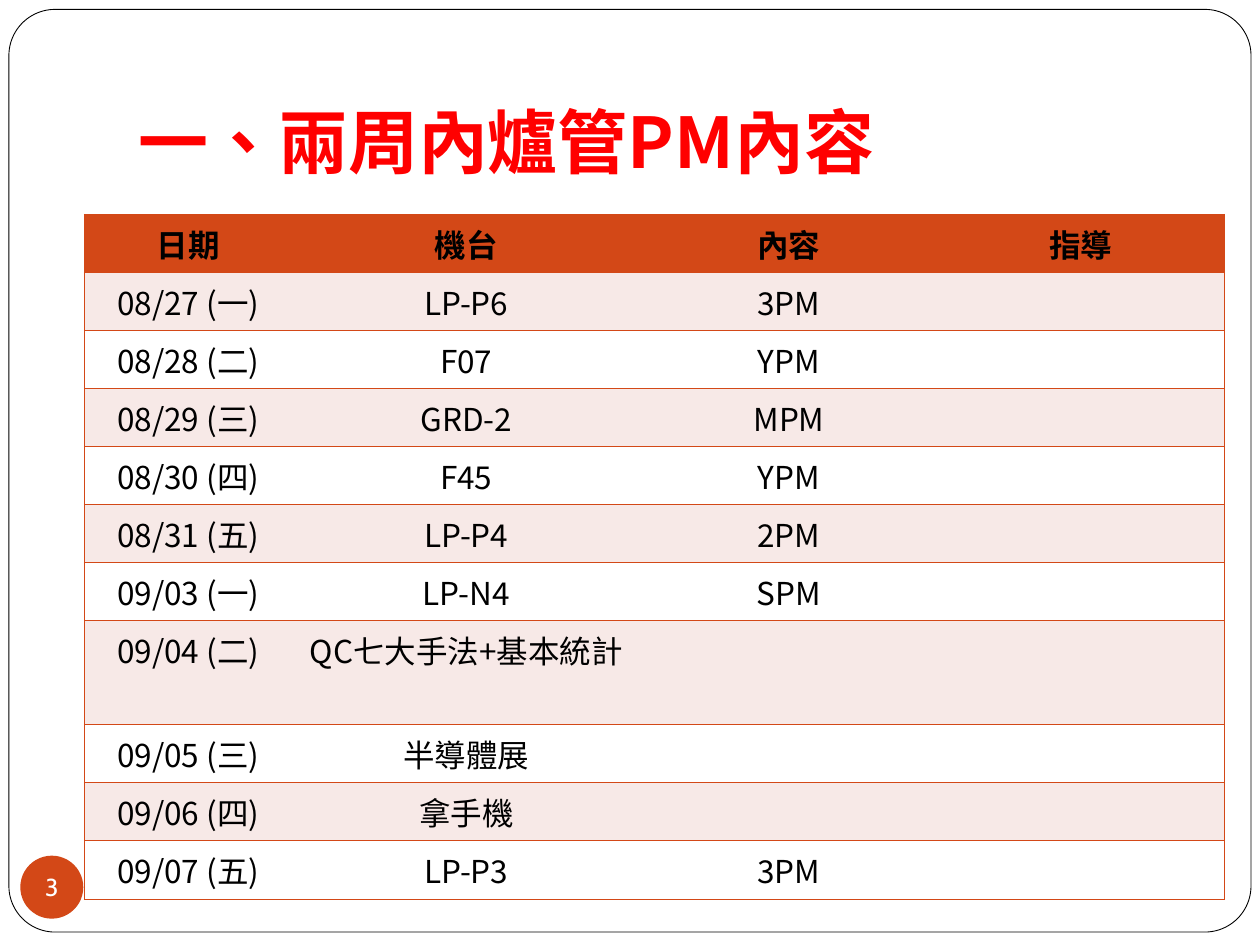
from lxml.etree import SubElement
from pptx import Presentation
from pptx.dml.color import RGBColor
from pptx.enum.lang import MSO_LANGUAGE_ID
from pptx.enum.shapes import MSO_SHAPE
from pptx.enum.text import MSO_ANCHOR, PP_ALIGN
from pptx.oxml.ns import qn
from pptx.util import Cm, Pt

TITLE = "一、兩周內爐管PM內容"
HEADER = ("日期", "機台", "內容", "指導")
SCHEDULE = [
    ("08/27 (一)", "LP-P6", "3PM", ""),
    ("08/28 (二)", "F07", "YPM", ""),
    ("08/29 (三)", "GRD-2", "MPM", ""),
    ("08/30 (四)", "F45", "YPM", ""),
    ("08/31 (五)", "LP-P4", "2PM", ""),
    ("09/03 (一)", "LP-N4", "SPM", ""),
    ("09/04 (二)", "QC七大手法+基本統計", "", ""),
    ("09/05 (三)", "半導體展", "", ""),
    ("09/06 (四)", "拿手機", "", ""),
    ("09/07 (五)", "LP-P3", "3PM", ""),
]
PAGE_NUMBER = "3"

COLUMN_WIDTHS = (4.19, 7.02, 5.99, 5.78)
ROW_HEIGHT, TALL_ROW_HEIGHT, TALL_ROW = 1.17, 2.1, 7

TEXT_FONT, NUMBER_FONT = "Noto Sans CJK SC", "Cabin"
ORANGE = RGBColor(0xD3, 0x48, 0x17)
PINK = RGBColor(0xF7, 0xE9, 0xE7)
WHITE = RGBColor(0xFF, 0xFF, 0xFF)
BLACK = RGBColor(0x00, 0x00, 0x00)
RED = RGBColor(0xFF, 0x00, 0x00)
NO_STYLE = "{2D5ABB26-0587-4C30-8999-92F81FD0307C}"


def format_text(paragraph, name, size, color, bold=False):
    """Format every run, using the same font for Latin and East Asian text."""
    for run in paragraph.runs:
        font = run.font
        font.name, font.size, font.bold = name, Pt(size), bold
        font.color.rgb = color
        font.language_id = MSO_LANGUAGE_ID.TRADITIONAL_CHINESE
        latin = run._r.rPr.find(qn("a:latin"))
        east_asian = SubElement(run._r.rPr, qn("a:ea"), typeface=name)
        latin.addnext(east_asian)


def add_border(cell, side):
    line = SubElement(cell._tc.get_or_add_tcPr(), qn(f"a:ln{side}"), w=str(Pt(0.45)))
    fill = SubElement(line, qn("a:solidFill"))
    SubElement(fill, qn("a:srgbClr"), val=str(ORANGE))


def add_filled_shape(slide, kind, left, top, width, height, color):
    shape = slide.shapes.add_shape(kind, Cm(left), Cm(top), Cm(width), Cm(height))
    shape.shadow.inherit = False
    shape.fill.solid()
    shape.fill.fore_color.rgb = color
    return shape


def add_frame(slide):
    frame = add_filled_shape(slide, MSO_SHAPE.ROUNDED_RECTANGLE,
                             0.18, 0.19, 25.04, 18.6, WHITE)
    frame.adjustments[0] = 0.05
    frame.line.color.rgb = BLACK
    frame.line.width = Pt(0.5)


def add_title(slide):
    box = slide.shapes.add_textbox(Cm(2.54), Cm(0.76), Cm(21.59), Cm(3.17))
    text_frame = box.text_frame
    text_frame.word_wrap = True
    text_frame.vertical_anchor = MSO_ANCHOR.BOTTOM
    text_frame.margin_bottom = Cm(0.25)
    text_frame.text = TITLE
    format_text(text_frame.paragraphs[0], TEXT_FONT, 40, RED, bold=True)


def add_schedule(slide):
    rows = [HEADER, *SCHEDULE]
    heights = [TALL_ROW_HEIGHT if index == TALL_ROW else ROW_HEIGHT
               for index in range(len(rows))]
    table = slide.shapes.add_table(
        len(rows), len(HEADER), Cm(1.7), Cm(4.32),
        Cm(sum(COLUMN_WIDTHS)), Cm(sum(heights))).table
    table._tbl.tblPr.find(qn("a:tableStyleId")).text = NO_STYLE
    for column, width in zip(table.columns, COLUMN_WIDTHS):
        column.width = Cm(width)

    last_column = len(HEADER) - 1
    for row_index, values in enumerate(rows):
        table.rows[row_index].height = Cm(heights[row_index])
        is_header = row_index == 0
        color = ORANGE if is_header else PINK if row_index % 2 else WHITE
        for column_index, value in enumerate(values):
            cell = table.cell(row_index, column_index)
            outer_side = {0: "L", last_column: "R"}.get(column_index, "")
            for side in outer_side + "TB":
                add_border(cell, side)
            cell.fill.solid()
            cell.fill.fore_color.rgb = color
            if value:
                cell.text_frame.text = value
                paragraph = cell.text_frame.paragraphs[0]
                paragraph.alignment = PP_ALIGN.CENTER
                format_text(paragraph, TEXT_FONT, 18, BLACK, bold=is_header)


def add_page_number(slide):
    badge = add_filled_shape(slide, MSO_SHAPE.OVAL, 0.41, 17.25, 1.27, 1.27, ORANGE)
    badge.line.fill.background()
    text_frame = badge.text_frame
    text_frame.word_wrap = False
    text_frame.vertical_anchor = MSO_ANCHOR.MIDDLE
    text_frame.margin_left = text_frame.margin_right = 0
    text_frame.margin_top = text_frame.margin_bottom = 0
    text_frame.text = PAGE_NUMBER
    paragraph = text_frame.paragraphs[0]
    paragraph.alignment = PP_ALIGN.CENTER
    format_text(paragraph, NUMBER_FONT, 14, WHITE)


def main():
    presentation = Presentation()
    presentation.slide_width, presentation.slide_height = Cm(25.4), Cm(19.05)
    slide = presentation.slides.add_slide(presentation.slide_layouts[6])
    add_frame(slide)
    add_title(slide)
    add_schedule(slide)
    add_page_number(slide)
    presentation.save("out.pptx")


if __name__ == "__main__":
    main()
